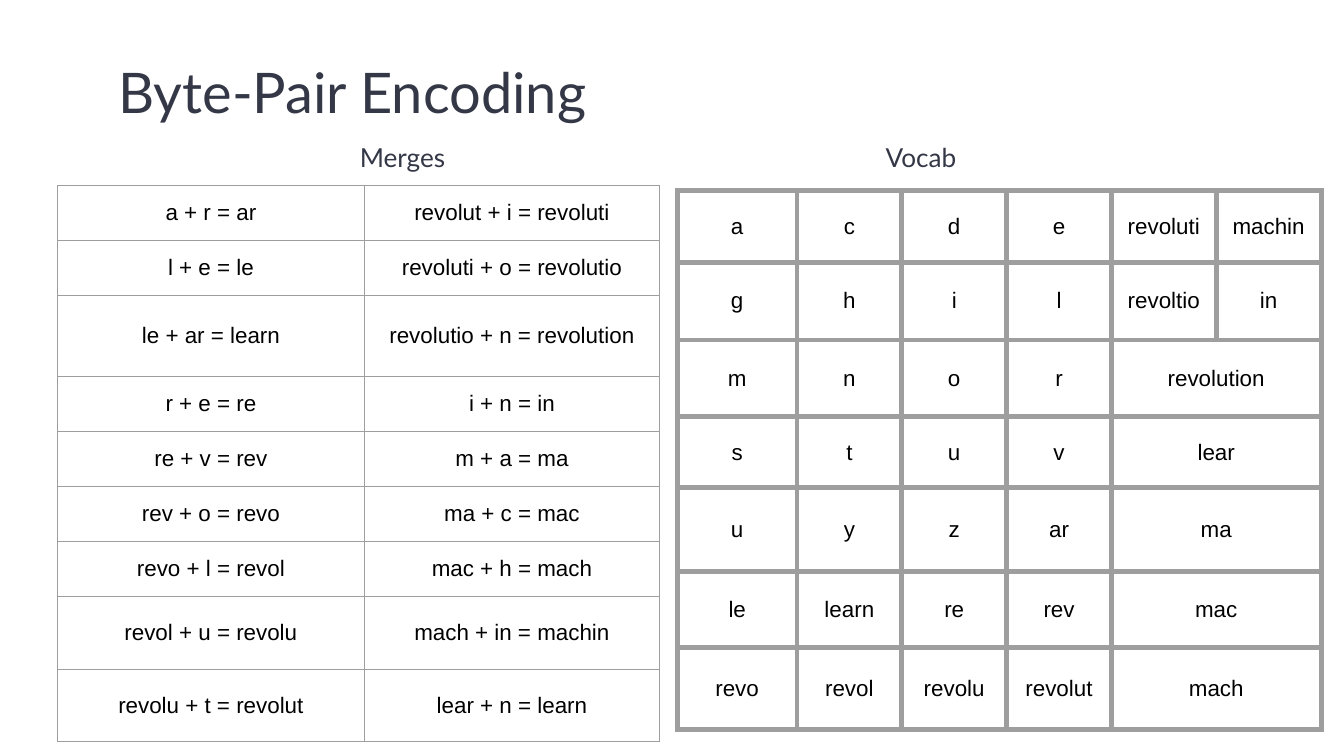
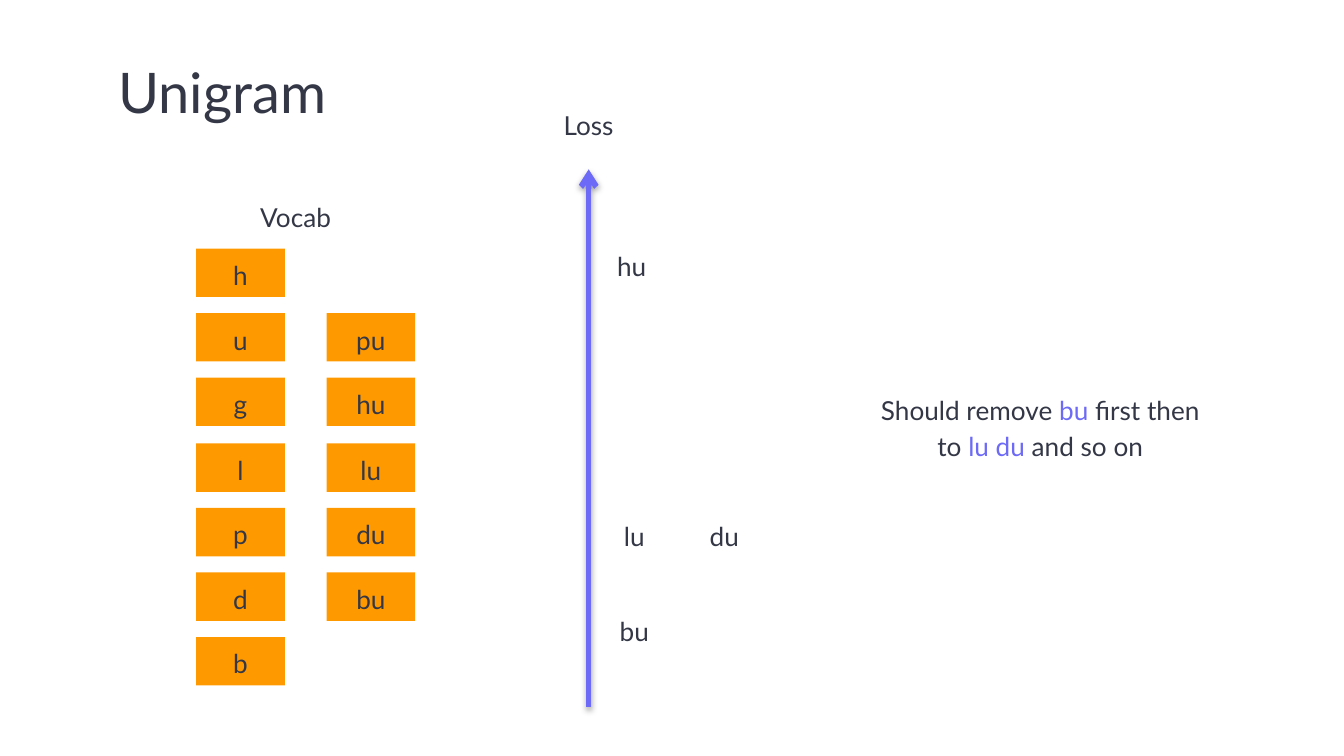
from dataclasses import dataclass

from lxml.etree import SubElement
from pptx import Presentation
from pptx.dml.color import RGBColor
from pptx.enum.shapes import MSO_CONNECTOR, MSO_SHAPE
from pptx.enum.text import MSO_ANCHOR, MSO_AUTO_SIZE, PP_ALIGN
from pptx.oxml import parse_xml
from pptx.oxml.ns import nsdecls, qn
from pptx.util import Emu, Pt

PX = 9144  # 100 px to the inch


@dataclass(frozen=True)
class Theme:
    ink: str = "333746"
    accent: str = "6D6AF7"
    token: str = "FF9900"
    cell_ink: str = "000000"
    border: str = "9E9E9E"
    font: str = "Lato"
    cell_font: str = "Arial"
    title_size: int = 30
    body_size: int = 14
    cell_size: int = 12
    arrow_width: int = 3
    line_spacing: float = 1.15
    inset: int = 10


THEME = Theme()
SLIDE_WIDTH = 1000
TITLE_BOX = 78, 25, 830, 77

MERGES = {
    "at": (43, 138),
    "columns": [228, 220],
    "heights": [41, 41, 60, 41, 41, 41, 41, 54, 54],
    "border": 0.75,
    "rows": [
        ["a + r = ar", "revolut + i = revoluti"],
        ["l + e = le", "revoluti + o = revolutio"],
        ["le + ar = learn", "revolutio + n = revolution"],
        ["r + e = re", "i + n = in"],
        ["re + v = rev", "m + a = ma"],
        ["rev + o = revo", "ma + c = mac"],
        ["revo + l = revol", "mac + h = mach"],
        ["revol + u = revolu", "mach + in = machin"],
        ["revolu + t = revolut", "lear + n = learn"],
    ],
}

# The last entry of a short row spans the remaining columns.
VOCAB = {
    "at": (504, 142),
    "columns": [89] + [78] * 5,
    "heights": [53, 58, 57, 53, 62, 57, 61],
    "border": 3,
    "rows": [
        ["a", "c", "d", "e", "revoluti", "machin"],
        ["g", "h", "i", "l", "revoltio", "in"],
        ["m", "n", "o", "r", "revolution"],
        ["s", "t", "u", "v", "lear"],
        ["u", "y", "z", "ar", "ma"],
        ["le", "learn", "re", "rev", "mac"],
        ["revo", "revol", "revolu", "revolut", "mach"],
    ],
}

# Column left edge, row of the first token, tokens
TOKEN_COLUMNS = [
    (146, 0, ["h", "u", "g", "l", "p", "d", "b"]),
    (243, 1, ["pu", "hu", "lu", "du", "bu"]),
]
TOKEN_SIZE = 66, 36
TOKEN_TOP, TOKEN_BOTTOM, TOKEN_ROWS = 185, 474, 7

LOSS_AXIS = {"x": 438, "bottom": 526, "top": 126}
LOSS_TOKENS = [("hu", 437, 178), ("lu", 439, 379), ("du", 506, 379), ("bu", 439, 450)]
HEADINGS = [("Vocab", (172, 135, 96, 50)), ("Loss", (390, 66, 96, 50))]
ADVICE = [
    ("Should remove ", THEME.ink),
    ("bu ", THEME.accent),
    ("first then to ", THEME.ink),
    ("lu du", THEME.accent),
    (" and so on", THEME.ink),
]
ADVICE_BOX = 638, 124, 272, 386


def px(*lengths):
    return [Emu(length * PX) for length in lengths]


def style_run(run, color, size, font):
    run.font.name = font
    run.font.size = Pt(size)
    run.font.color.rgb = RGBColor.from_string(color)


def set_insets(target):
    inset, = px(THEME.inset)
    target.margin_left = target.margin_right = inset
    target.margin_top = target.margin_bottom = inset


def write(shape, content, size=THEME.body_size, align=PP_ALIGN.CENTER,
          anchor=MSO_ANCHOR.MIDDLE):
    """Fill a shape with a string, or with a list of (text, colour) pieces."""
    frame = shape.text_frame
    frame.word_wrap = True
    frame.auto_size = MSO_AUTO_SIZE.NONE
    frame.vertical_anchor = anchor
    set_insets(frame)
    paragraph = frame.paragraphs[0]
    paragraph.alignment = align
    paragraph.line_spacing = THEME.line_spacing
    pieces = [(content, THEME.ink)] if isinstance(content, str) else content
    for text, color in pieces:
        run = paragraph.add_run()
        run.text = text
        style_run(run, color, size, THEME.font)


def add_label(slide, content, box, **options):
    write(slide.shapes.add_textbox(*px(*box)), content, **options)


def add_titled_slide(deck, title):
    slide = deck.slides.add_slide(deck.slide_layouts[5])
    heading = slide.shapes.title
    heading.left, heading.top, heading.width, heading.height = px(*TITLE_BOX)
    write(heading, title, THEME.title_size, PP_ALIGN.LEFT, MSO_ANCHOR.TOP)
    return slide


def set_borders(cell, width):
    properties = cell._tc.get_or_add_tcPr()
    for position, side in enumerate(("lnL", "lnR", "lnT", "lnB")):
        line = parse_xml(
            f'<a:{side} {nsdecls("a")} w="{Pt(width)}"><a:solidFill>'
            f'<a:srgbClr val="{THEME.border}"/></a:solidFill></a:{side}>')
        properties.insert(position, line)


def add_grid(slide, grid):
    columns, heights, rows = grid["columns"], grid["heights"], grid["rows"]
    box = px(*grid["at"], sum(columns), sum(heights))
    table = slide.shapes.add_table(len(rows), len(columns), *box).table
    table.first_row = table.horz_banding = False
    for column, width in zip(table.columns, px(*columns)):
        column.width = width
    for row, height in zip(table.rows, px(*heights)):
        row.height = height
    for cell in table.iter_cells():
        cell.fill.background()
        set_borders(cell, grid["border"])
    for r, entries in enumerate(rows):
        for c, entry in enumerate(entries):
            cell = table.cell(r, c)
            cell.text = entry
            cell.vertical_anchor = MSO_ANCHOR.MIDDLE
            set_insets(cell)
            paragraph = cell.text_frame.paragraphs[0]
            paragraph.alignment = PP_ALIGN.CENTER
            style_run(paragraph.runs[0], THEME.cell_ink, THEME.cell_size, THEME.cell_font)
        if len(entries) < len(columns):
            cell.merge(table.cell(r, len(columns) - 1))


def add_token(slide, token, left, top):
    box = slide.shapes.add_shape(MSO_SHAPE.RECTANGLE, *px(left, top, *TOKEN_SIZE))
    box.shadow.inherit = False
    box.fill.solid()
    box.fill.fore_color.rgb = RGBColor.from_string(THEME.token)
    box.line.fill.background()
    write(box, token)


def add_loss_axis(slide):
    x = LOSS_AXIS["x"]
    ends = px(x, LOSS_AXIS["bottom"], x, LOSS_AXIS["top"])
    axis = slide.shapes.add_connector(MSO_CONNECTOR.STRAIGHT, *ends)
    axis.line.width = Pt(THEME.arrow_width)
    axis.line.color.rgb = RGBColor.from_string(THEME.accent)
    SubElement(axis.line._get_or_add_ln(), qn("a:tailEnd"), type="arrow")
    axis._element.spPr.append(parse_xml(
        f'<a:effectLst {nsdecls("a")}>'
        '<a:outerShdw blurRad="40000" dist="23000" dir="5400000" rotWithShape="0">'
        '<a:srgbClr val="000000"><a:alpha val="35000"/></a:srgbClr>'
        '</a:outerShdw></a:effectLst>'))


def add_byte_pair_slide(deck):
    slide = add_titled_slide(deck, "Byte-Pair Encoding")
    add_grid(slide, VOCAB)
    add_label(slide, "Vocab", (649, 92, 101, 46),
              align=PP_ALIGN.LEFT, anchor=MSO_ANCHOR.TOP)
    add_label(slide, "Merges", (249, 92, 101, 46))
    add_grid(slide, MERGES)


def add_unigram_slide(deck):
    slide = add_titled_slide(deck, "Unigram")
    pitch = (TOKEN_BOTTOM - TOKEN_TOP) / (TOKEN_ROWS - 1)
    for left, first_row, tokens in TOKEN_COLUMNS:
        for row, token in enumerate(tokens, first_row):
            add_token(slide, token, left, round(TOKEN_TOP + row * pitch))
    add_loss_axis(slide)
    for heading, box in HEADINGS:
        add_label(slide, heading, box)
    for token, left, top in LOSS_TOKENS:
        add_label(slide, token, (left, top, *TOKEN_SIZE))
    add_label(slide, ADVICE, ADVICE_BOX)


def main():
    deck = Presentation()
    deck.slide_width, = px(SLIDE_WIDTH)
    deck.slide_height = deck.slide_width * 9 // 16
    add_byte_pair_slide(deck)
    add_unigram_slide(deck)
    deck.save("out.pptx")


if __name__ == "__main__":
    main()
